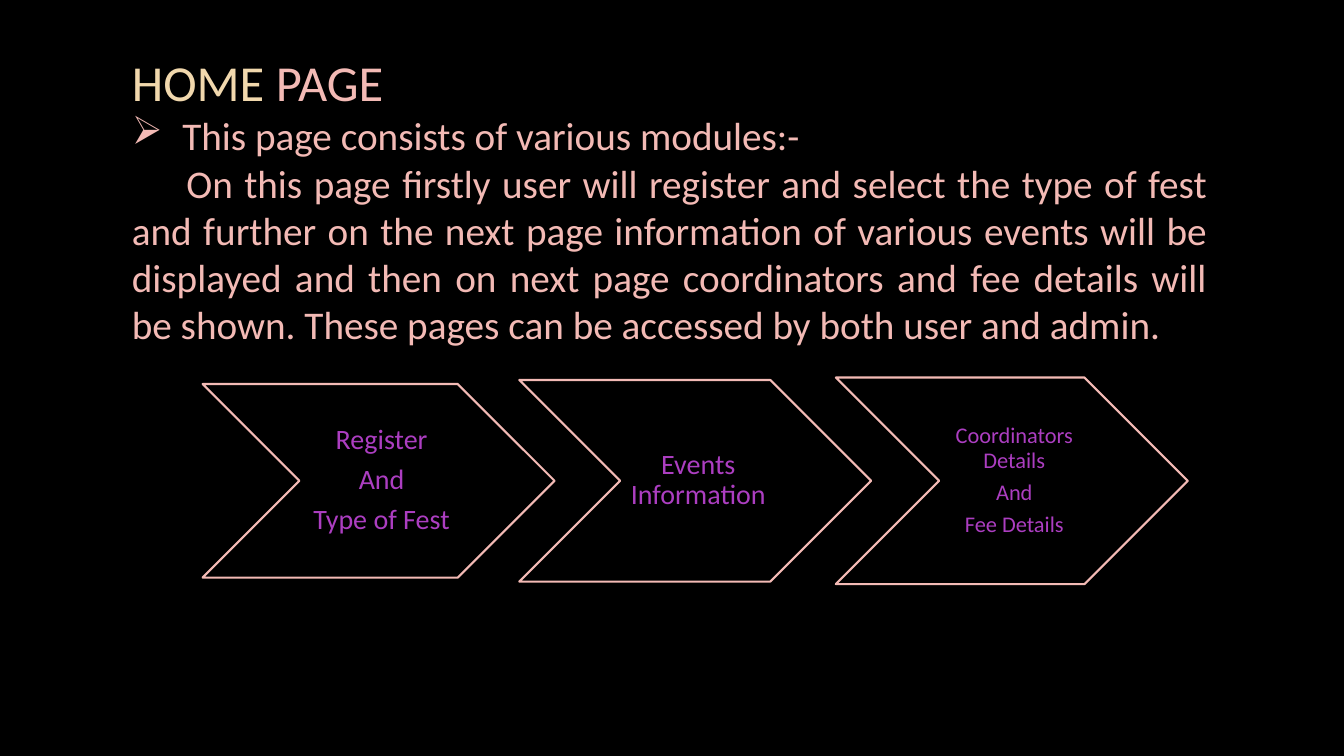
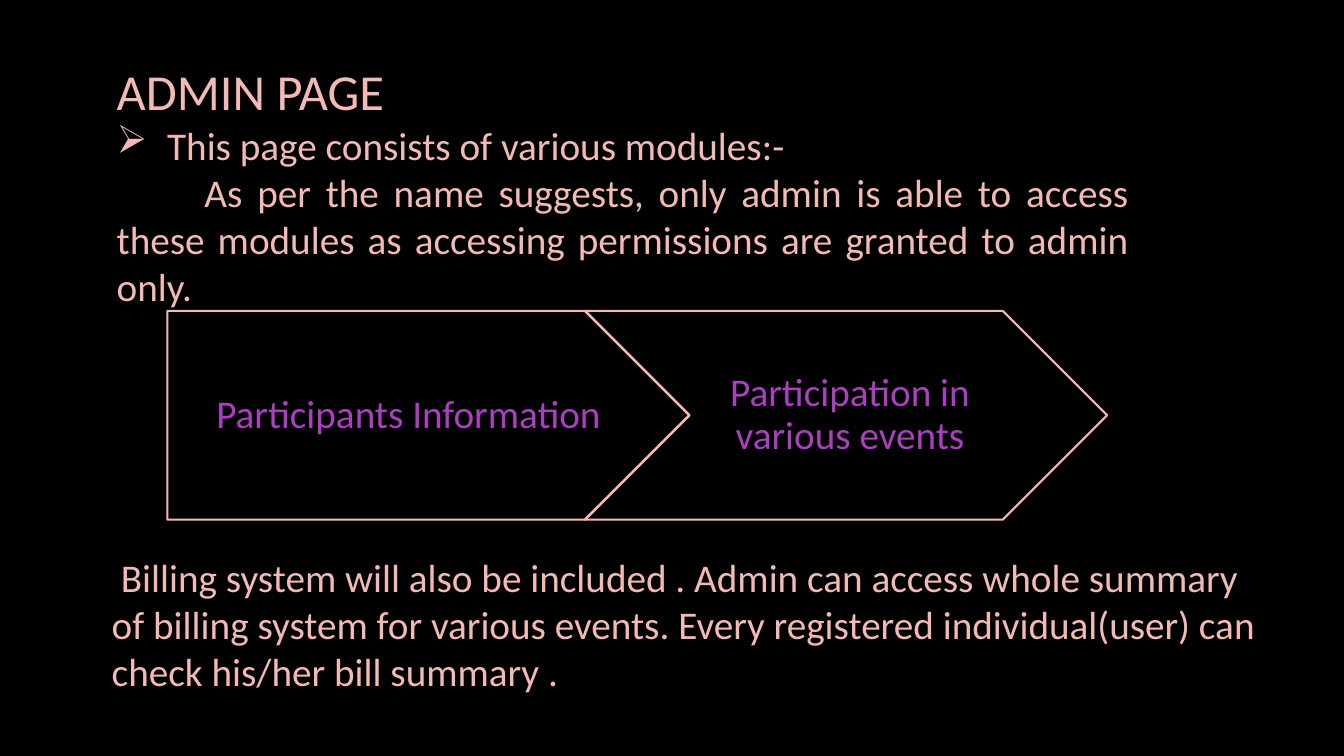
from dataclasses import dataclass

from lxml.etree import SubElement
from pptx import Presentation
from pptx.dml.color import RGBColor
from pptx.enum.shapes import MSO_SHAPE
from pptx.enum.text import MSO_ANCHOR, PP_ALIGN
from pptx.oxml.ns import qn
from pptx.slide import Slide
from pptx.text.text import TextFrame, _Paragraph
from pptx.util import Inches, Pt

BACKGROUND = "000000"
PINK = "F3BAB5"
CREAM = "F1D8AD"
PURPLE = "AC3EC1"
FONT = "Calibri"
TITLE_SIZE = 36
BODY_SIZE = 28
LEAD = "This page consists of various modules:-"


@dataclass
class Box:
    left: float
    top: float
    width: float
    height: float


@dataclass
class Step:
    lines: list[str]
    height: float
    size: int
    insets: tuple[float, float, float, float]
    kind: MSO_SHAPE = MSO_SHAPE.CHEVRON


@dataclass
class StepRow:
    left: float
    middle: float
    width: float
    pitch: float
    steps: list[Step]


def color(value: str) -> RGBColor:
    return RGBColor.from_string(value)


def style(paragraph: _Paragraph, size: int, text_color: str | None = PINK) -> None:
    paragraph.font.name = FONT
    paragraph.font.size = Pt(size)
    if text_color:
        paragraph.font.color.rgb = color(text_color)


def indent(paragraph: _Paragraph, first: float, margin: float = 0) -> None:
    properties = paragraph._p.get_or_add_pPr()
    properties.set("marL", str(Inches(margin)))
    properties.set("indent", str(Inches(first)))


def add_text_box(slide: Slide, box: Box) -> TextFrame:
    shape = slide.shapes.add_textbox(
        Inches(box.left), Inches(box.top), Inches(box.width), Inches(box.height)
    )
    shape.text_frame.word_wrap = True
    return shape.text_frame


def add_intro(
    slide: Slide, box: Box, title: list[tuple[str, str]], body: str, body_indent: float
) -> None:
    frame = add_text_box(slide, box)
    heading = frame.paragraphs[0]
    for text, text_color in title:
        run = heading.add_run()
        run.text = text
        run.font.color.rgb = color(text_color)
    style(heading, TITLE_SIZE, None)

    lead = frame.add_paragraph()
    lead.text = LEAD
    indent(lead, -0.5, 0.5)
    SubElement(lead._p.get_or_add_pPr(), qn("a:buChar")).set("char", "➢")
    style(lead, BODY_SIZE)

    description = frame.add_paragraph()
    description.text = body
    description.alignment = PP_ALIGN.JUSTIFY
    indent(description, body_indent)
    style(description, BODY_SIZE)


def add_steps(slide: Slide, row: StepRow) -> None:
    for index, step in enumerate(row.steps):
        shape = slide.shapes.add_shape(
            step.kind,
            Inches(row.left + index * row.pitch),
            Inches(row.middle - step.height / 2),
            Inches(row.width),
            Inches(step.height),
        )
        shape.shadow.inherit = False
        shape.fill.background()
        shape.line.color.rgb = color(PINK)
        shape.line.width = Pt(1.5)
        frame = shape.text_frame
        frame.word_wrap = True
        frame.vertical_anchor = MSO_ANCHOR.MIDDLE
        left, top, right, bottom = step.insets
        frame.margin_left, frame.margin_top = Inches(left), Inches(top)
        frame.margin_right, frame.margin_bottom = Inches(right), Inches(bottom)
        for number, line in enumerate(step.lines):
            paragraph = frame.add_paragraph() if number else frame.paragraphs[0]
            paragraph.text = line
            paragraph.alignment = PP_ALIGN.CENTER
            paragraph.line_spacing = 0.9
            paragraph.space_after = Pt(step.size * 0.35)
            style(paragraph, step.size, PURPLE)


def add_slide(presentation: Presentation) -> Slide:
    slide = presentation.slides.add_slide(presentation.slide_layouts[6])
    slide.background.fill.solid()
    slide.background.fill.fore_color.rgb = color(BACKGROUND)
    return slide


def build_home_page(presentation: Presentation) -> None:
    slide = add_slide(presentation)
    add_intro(
        slide,
        Box(1.21, 0.46, 10.86, 3.06),
        [("HOME", CREAM), (" PAGE", PINK)],
        "On this page firstly user will register and select the type of fest\v"
        "and further on the next page information of various events will be displayed "
        "and then on next page coordinators and fee details will be shown. "
        "These pages can be accessed by both user and admin.",
        0.54,
    )
    wide, narrow = (0.09, 0.03, 0.03, 0.03), (0.07, 0.02, 0.02, 0.02)
    steps = [
        Step(["Register", "And", "Type of Fest"], 1.92, 20, wide),
        Step(["Events Information"], 2, 20, wide),
        Step(["Coordinators Details", "And", "Fee Details"], 2.05, 16, narrow),
    ]
    add_steps(slide, StepRow(2.01, 4.77, 3.49, 3.14, steps))


def build_admin_page(presentation: Presentation) -> None:
    slide = add_slide(presentation)
    add_intro(
        slide,
        Box(1.06, 0.55, 10.23, 2.59),
        [("ADMIN PAGE", PINK)],
        "As per the name suggests, only admin is able to access these modules "
        "as accessing permissions are granted to admin only.",
        0.87,
    )
    steps = [
        Step(["Participants Information"], 2.07, BODY_SIZE,
             (0.16, 0.08, 0.04, 0.08), MSO_SHAPE.PENTAGON),
        Step(["Participation in various events"], 2.07, BODY_SIZE,
             (0.12, 0.08, 0.04, 0.08)),
    ]
    add_steps(slide, StepRow(1.66, 4.12, 5.18, 4.14, steps))
    billing = add_text_box(slide, Box(1.01, 5.44, 11.65, 1.51)).paragraphs[0]
    billing.text = (
        "Billing system will also be included . Admin can access whole summary of "
        "billing system for various events. Every registered individual(user) can "
        "check his/her bill summary ."
    )
    indent(billing, 0.09)
    style(billing, BODY_SIZE)


def main() -> None:
    """Build the home page and admin page slides."""
    presentation = Presentation()
    presentation.slide_width = Inches(13.33)
    presentation.slide_height = Inches(7.5)
    build_home_page(presentation)
    build_admin_page(presentation)
    presentation.save("out.pptx")


if __name__ == "__main__":
    main()
